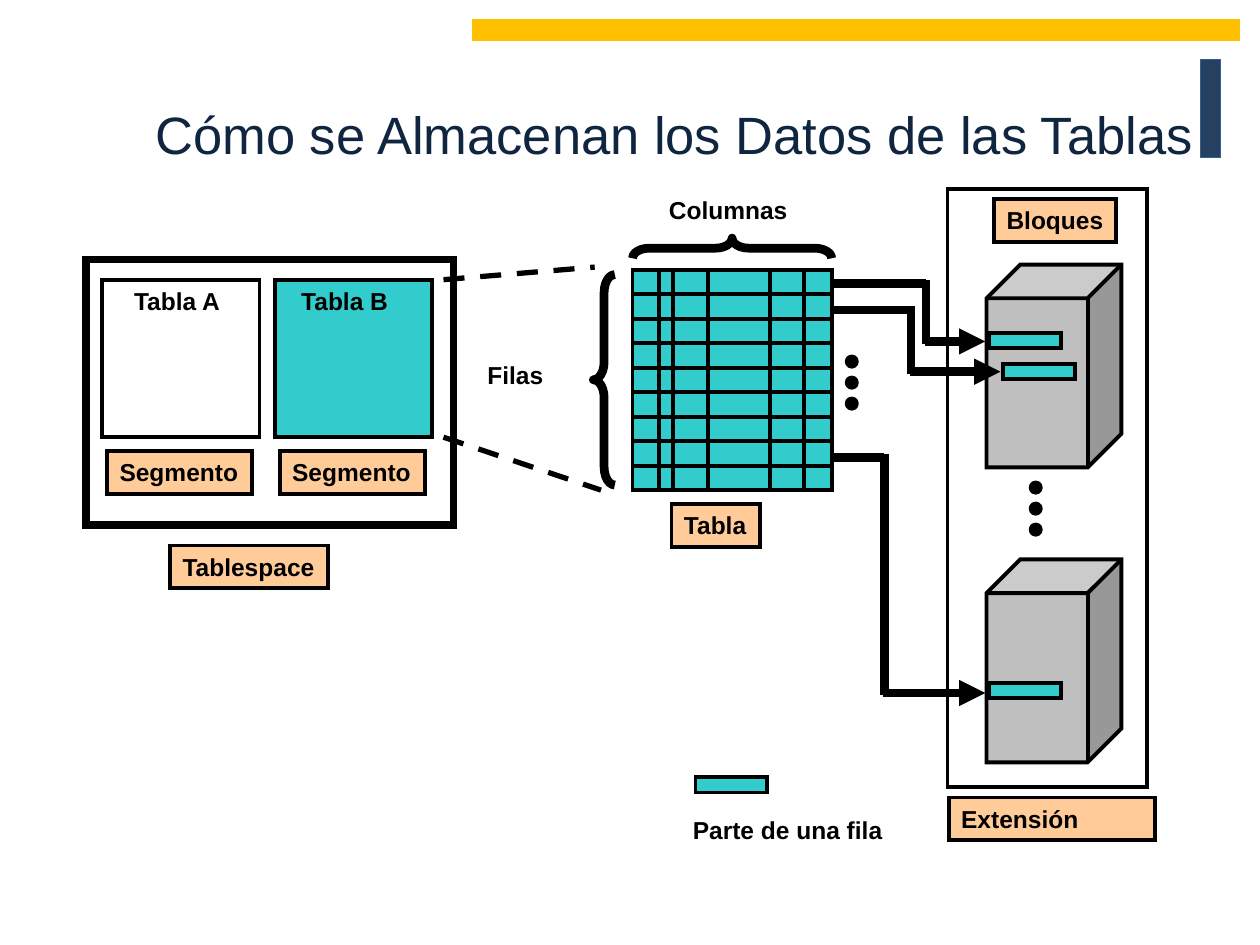
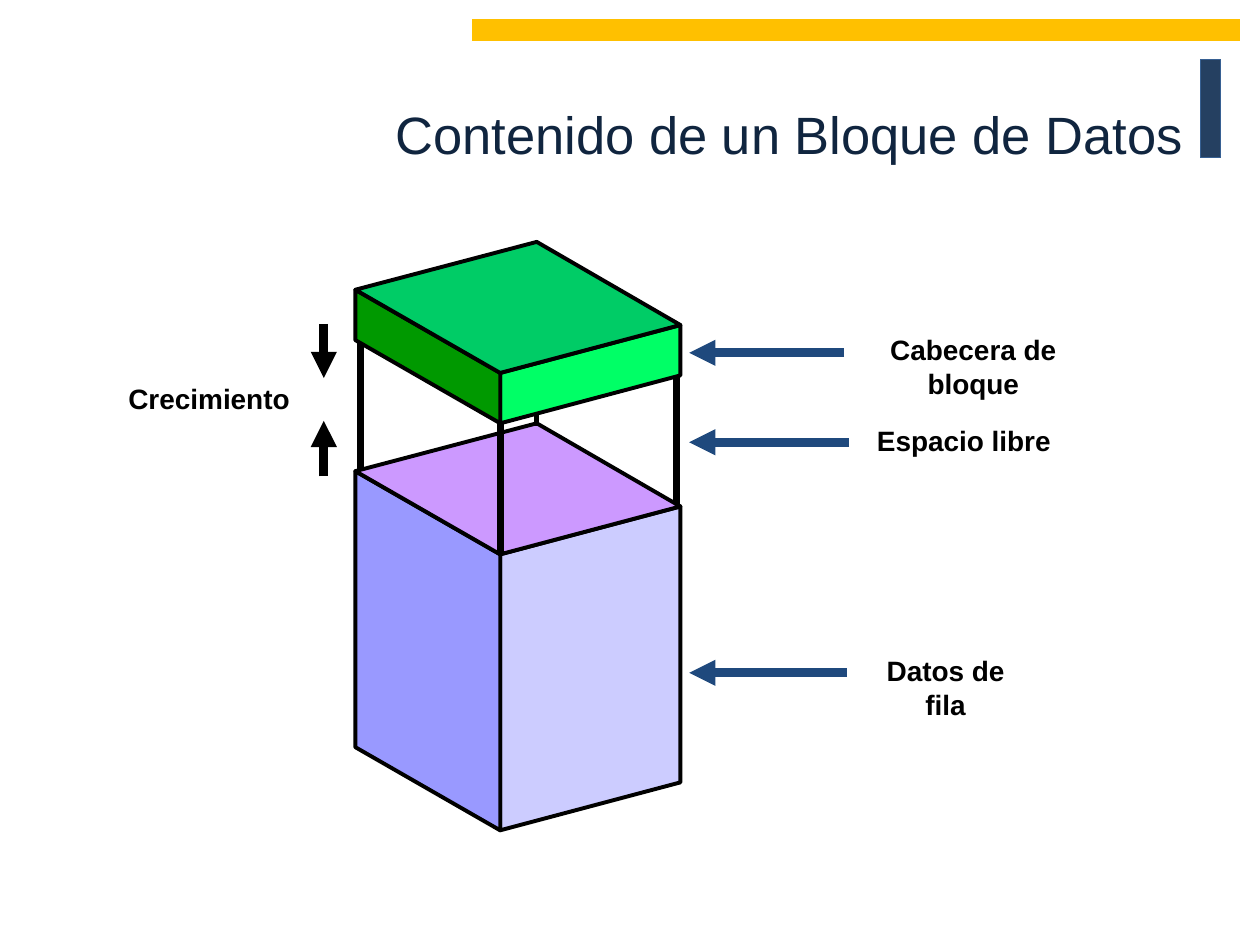
from lxml import etree
from pptx import Presentation
from pptx.dml.color import RGBColor
from pptx.enum.dml import MSO_LINE
from pptx.enum.shapes import MSO_CONNECTOR, MSO_SHAPE
from pptx.enum.text import MSO_ANCHOR, PP_ALIGN
from pptx.oxml.ns import qn
from pptx.util import Inches, Pt

RECT, CUBE, OVAL = MSO_SHAPE.RECTANGLE, MSO_SHAPE.CUBE, MSO_SHAPE.OVAL
BRACE = MSO_SHAPE.LEFT_BRACE
STRAIGHT, DASH = MSO_CONNECTOR.STRAIGHT, MSO_LINE.DASH
TOP, MIDDLE = MSO_ANCHOR.TOP, MSO_ANCHOR.MIDDLE
LEFT, CENTER, RIGHT = PP_ALIGN.LEFT, PP_ALIGN.CENTER, PP_ALIGN.RIGHT
FONT = "Arial"
COLORS = {
    "black": "000000", "navy": "254061", "edge": "376092",
    "gold": "FFC000", "title": "10253F", "peach": "FFCC99",
    "teal": "33CCCC", "gray": "BFBFBF", "blue": "1F497D",
    "lilac": "CCCCFF", "violet": "9999FF", "mauve": "CC99FF",
    "lime": "00FF66", "forest": "009900", "green": "00CC66",
}


def color(name):
    """Return the named colour."""
    return RGBColor.from_string(COLORS[name])


def paint(shape, fill, line="black", width=2.25):
    """Set the fill and outline of a shape, without shadow."""
    shape.shadow.inherit = False
    if fill:
        shape.fill.solid()
        shape.fill.fore_color.rgb = color(fill)
    else:
        shape.fill.background()
    shape.line.color.rgb = color(line)
    shape.line.width = Pt(width)


def draw(slide, kind, box, fill=None, line="black", width=2.25):
    """Draw a preset shape in a box of inches."""
    shape = slide.shapes.add_shape(kind, *map(Inches, box))
    paint(shape, fill, line, width)
    if kind in (RECT, CUBE):
        miter = etree.SubElement(shape.line._get_or_add_ln(), qn("a:miter"))
        miter.set("lim", "800000")
    return shape


def write(shape, text, size=14, align=LEFT, wrap=False, bold=True,
          ink="black", anchor=TOP):
    """Put styled text in a shape."""
    frame = shape.text_frame
    frame.text = text
    frame.word_wrap = wrap
    frame.vertical_anchor = anchor
    para = frame.paragraphs[0]
    para.alignment = align
    font = para.runs[0].font
    font.name, font.size, font.bold = FONT, Pt(size), bold
    font.color.rgb = color(ink)


def label(slide, box, text, **style):
    """Add a plain text label."""
    write(slide.shapes.add_textbox(*map(Inches, box)), text, **style)


def tag(slide, x, y, w, text, wrap=False):
    """Add a peach name tag."""
    write(draw(slide, RECT, (x, y, w, 0.34), "peach"), text, wrap=wrap)


def link(slide, start, end, width=5, ink="black", arrow=False, dash=False):
    """Draw a straight line, with an arrowhead at its end if asked."""
    line = slide.shapes.add_connector(
        STRAIGHT, *map(Inches, (*start, *end)))
    line.line.color.rgb = color(ink)
    line.line.width = Pt(width)
    if dash:
        line.line.dash_style = DASH
    if arrow:
        tip = etree.SubElement(line.line._get_or_add_ln(), qn("a:tailEnd"))
        tip.set("type", "triangle")
    etree.SubElement(line._element.spPr, qn("a:effectLst"))


def dots(slide, x, y):
    """Stack three dots downwards."""
    for i in range(3):
        draw(slide, OVAL, (x, y + i / 6, 0.08, 0.08), "black")


def piece(slide, x, y):
    """Draw a part of a row."""
    draw(slide, RECT, (x, y, 0.57, 0.12), "teal")


def start(deck, title, x, w):
    """Add a slide with the shared bands and a title."""
    slide = deck.slides.add_slide(deck.slide_layouts[6])
    draw(slide, RECT, (9.53, 0.47, 0.16, 0.78), "navy", "edge", 0.75)
    draw(slide, RECT, (3.75, 0.16, 6.09, 0.16), "gold", "gold", 0.75)
    label(slide, (x, 0.26, w, 1.6), title, size=30, align=RIGHT,
          wrap=True, bold=False, ink="title", anchor=MIDDLE)
    return slide


def space(slide, x, y, w, h):
    """Draw the tablespace with its two segments."""
    draw(slide, RECT, (x, y, w, h), width=4.5)
    tables = (("Tabla A", None, 0.28), ("Tabla B", "teal", 1.61))
    for i, (name, fill, left) in enumerate(tables):
        step = i * 1.37
        draw(slide, RECT, (x + 0.13 + step, y + 0.16, 1.25, 1.25), fill)
        label(slide, (x + left, y + 0.16, 0.89, 0.34), name, align=CENTER)
        tag(slide, x + 0.17 + step, y + 1.52, 1.15, "Segmento")
    tag(slide, x + 0.67, y + h + 0.16, 1.25, "Tablespace")


def grid(slide, x, y, w, h):
    """Draw the table with its rows, columns and braces."""
    draw(slide, RECT, (x, y, w, h), "teal")
    for i in range(1, 9):
        row = y + i * h / 9
        link(slide, (x, row), (x + w, row), 2.25)
    for step in (0.21, 0.32, 0.6, 1.09, 1.36):
        link(slide, (x + step, y), (x + step, y + h), 2.25)
    side = draw(slide, BRACE, (x - 0.31, y + 0.04, 0.17, 1.67), width=5)
    over = draw(slide, BRACE, (x + 0.71, y - 0.96, 0.16, w), width=5)
    over.rotation = 90
    for brace in (side, over):
        brace.adjustments[0] = 0.83
    label(slide, (x - 1.25, y + 0.67, 1, 0.34), "Filas", wrap=True)
    label(slide, (x + 0.19, y - 0.64, 1.15, 0.34), "Columnas")
    tag(slide, x + 0.31, y + h + 0.11, 0.7, "Tabla")
    dots(slide, x + 1.7, y + 0.69)


def extent(slide, x, y, w, h):
    """Draw the extent with its blocks and row parts."""
    draw(slide, RECT, (x, y, w, h))
    tag(slide, x + 0.37, y + 0.08, 0.97, "Bloques")
    for top in (0.6, 2.94):
        draw(slide, CUBE, (x + 0.31, y + top, 1.07, 1.61), "gray")
    for left, top in ((0.33, 1.14), (0.44, 1.39), (0.33, 3.92)):
        piece(slide, x + left, y + top)
    dots(slide, x + 0.66, y + 2.33)
    tag(slide, x + 0.01, y + h + 0.08, 1.64, "Extensión", wrap=True)


def routes(slide, x, y):
    """Lead three table rows to their places in the blocks."""
    paths = ((0.11, 0.75, 0.57, 1.22), (0.32, 0.63, 0.81, 1.34),
             (1.49, 0.42, 3.36, 1.22))
    for top, bend, low, end in paths:
        link(slide, (x, y + top), (x + bend, y + top))
        link(slide, (x + bend, y + top - 0.03), (x + bend, y + low + 0.02))
        link(slide, (x + bend - 0.01, y + low), (x + end, y + low),
             arrow=True)


def legend(slide, x, y):
    """Explain the row part sign."""
    piece(slide, x + 0.12, y)
    label(slide, (x, y + 0.25, 1.71, 0.34), "Parte de una fila")


def prism(slide, x, y, h, tones):
    """Draw a slanted box of height h with right, left and top faces."""
    west, north = (x, y + 0.38), (x + 1.44, y)
    east, south = (x + 2.58, y + 0.66), (x + 1.15, y + 1.04)

    def drop(a, b):
        """Return the wall below an edge."""
        return a, b, (b[0], b[1] + h), (a[0], a[1] + h)

    faces = (drop(east, south), drop(west, south),
             (west, north, east, south))
    for face, tone in zip(faces, tones):
        points = [tuple(map(Inches, point)) for point in face]
        form = slide.shapes.build_freeform(*points[0], scale=1.0)
        form.add_line_segments(points[1:], close=True)
        paint(form.convert_to_shape(), tone)


def block(slide, x, y):
    """Draw the data block: row data, four posts and the header."""
    for left, top, low in ((0.04, 0.76, 1.83), (2.55, 1.06, 2.09)):
        link(slide, (x + left, y + top), (x + left, y + low), 4)
    prism(slide, x, y + 1.44, 2.19, ("lilac", "violet", "mauve"))
    link(slide, (x + 1.15, y + 1.42), (x + 1.15, y + 2.48), 4)
    link(slide, (x + 1.44, y + 0.7), (x + 1.44, y + 1.46), 3)
    prism(slide, x, y, 0.4, ("lime", "forest", "green"))


def notes(slide, x, y):
    """Name the parts of the block with arrows."""
    parts = (("Cabecera de bloque", 0, 1.83, 0.63, 0.21, 1.23),
             ("Espacio libre", 0.72, 1.68, 0.36, 0.92, 1.27),
             ("Datos de fila", 2.55, 1.39, 0.63, 2.75, 1.25))
    for name, top, w, h, mid, far in parts:
        label(slide, (x + 1.34, y + top, w, h), name, size=16,
              align=CENTER, wrap=True)
        link(slide, (x + far, y + mid), (x, y + mid), ink="blue", arrow=True)


def growth(slide, x, y):
    """Show growth with two facing arrows."""
    label(slide, (x, y + 0.41, 1.5, 0.37), "Crecimiento", size=16,
          align=CENTER)
    for first, last in ((0, 0.43), (1.21, 0.77)):
        link(slide, (x + 1.66, y + first), (x + 1.66, y + last), arrow=True)


def storage(deck):
    """Build the slide on how table data is stored."""
    slide = start(deck, "Cómo se Almacenan los Datos de las Tablas",
                  0.91, 8.66)
    space(slide, 0.68, 2.06, 2.92, 2.11)
    grid(slide, 5.02, 2.14, 1.58, 1.75)
    link(slide, (3.52, 2.22), (4.72, 2.12), 3, dash=True)
    link(slide, (3.52, 3.47), (4.77, 3.89), 3, dash=True)
    extent(slide, 7.52, 1.5, 1.58, 4.75)
    routes(slide, 6.6, 2.14)
    legend(slide, 5.4, 6.17)


def content(deck):
    """Build the slide on what a data block holds."""
    slide = start(deck, "Contenido de un Bloque de Datos", 0.67, 8.82)
    block(slide, 2.82, 1.92)
    notes(slide, 5.47, 2.59)
    growth(slide, 0.91, 2.57)


deck = Presentation()
deck.slide_width, deck.slide_height = Inches(10), Inches(7.5)
storage(deck)
content(deck)
deck.save("out.pptx")
